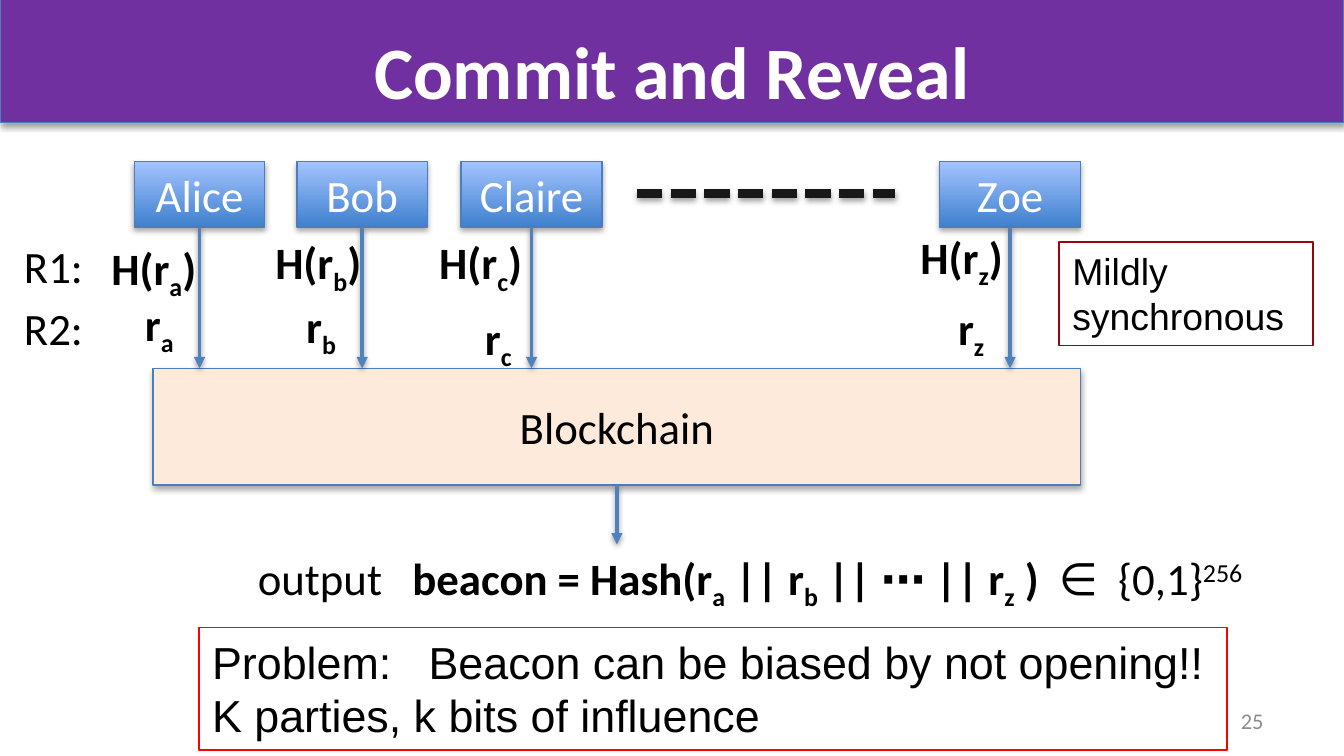
from lxml.etree import SubElement
from pptx import Presentation
from pptx.dml.color import RGBColor
from pptx.enum.dml import MSO_LINE
from pptx.enum.shapes import MSO_CONNECTOR, MSO_SHAPE
from pptx.enum.text import MSO_ANCHOR, MSO_AUTO_SIZE, PP_ALIGN
from pptx.oxml.ns import qn
from pptx.util import Inches, Pt

PURPLE = RGBColor(0x70, 0x30, 0xA0)
EDGE = RGBColor(0x4B, 0x7E, 0xBC)
ARROW = RGBColor(0x4F, 0x81, 0xBD)
DEEP_BLUE = RGBColor(0x3F, 0x80, 0xCE)
PALE_BLUE = RGBColor(0xA4, 0xC4, 0xFF)
PEACH = RGBColor(0xFD, 0xEA, 0xDA)
RED = RGBColor(0xFF, 0x00, 0x00)
DARK_RED = RGBColor(0x96, 0x06, 0x0B)
CHARCOAL = RGBColor(0x18, 0x18, 0x18)
GREY = RGBColor(0x8C, 0x8C, 0x8C)
BLACK = RGBColor(0x00, 0x00, 0x00)
WHITE = RGBColor(0xFF, 0xFF, 0xFF)

# The page is a grid of 100 columns; its square cells give 56.25 rows
COLUMNS, ROWS = 100, 56.25
CELL = Inches(0.1)

PARTY_TOP, PARTY_HEIGHT, CHAIN_TOP = 12, 4.9, 27.4
LABEL_HEIGHT = 5

# Name, box left and width, letter, commit (left, top, width), reveal (left, top, width)
PARTIES = [
    ("Alice", 10, 9.7, "a", (7.3, 17.4, 8.5), (9.8, 21.6, 4.2)),
    ("Bob", 22.1, 9.7, "b", (19.5, 17, 8.6), (21.8, 21.7, 4.4)),
    ("Claire", 34.3, 10.5, "c", (31.7, 17, 8.3), (35.1, 22.6, 4.1)),
    ("Zoe", 69.9, 10.5, "z", (67.5, 16.6, 8.3), (70.3, 21.9, 4.1)),
]

BODY = {"name": "Calibri", "size": Pt(24), "bold": False}
NOTE = {"name": "Arial", "size": Pt(24), "bold": False}
BOLD = {"bold": True}
SUB = {"bold": True, "baseline": -25000}
SUPER = {"baseline": 30000}
NARROW_GAP, WIDE_GAP, NOTE_GAP = {"spc": 540}, {"spc": 1080}, {"spc": 1330}


def cells(*counts):
    return [int(count * CELL) for count in counts]


def cast_shadow(shape, opacity, distance):
    effects = SubElement(shape.element.spPr, qn("a:effectLst"))
    shadow = SubElement(effects, qn("a:outerShdw"), blurRad=str(Pt(3.1)),
                        dist=str(Pt(distance)), dir="5400000", rotWithShape="0")
    black = SubElement(shadow, qn("a:srgbClr"), val="000000")
    SubElement(black, qn("a:alpha"), val=str(opacity * 1000))


def write(para, spans, style, color):
    for text, extra in spans:
        span = para.add_run()
        span.text = text
        for key, value in {**style, **extra}.items():
            if key in ("baseline", "spc"):
                span.font._element.set(key, str(value))
            else:
                setattr(span.font, key, value)
        span.font.color.rgb = color


def add_block(page, area, fill, text="", color=WHITE):
    block = page.shapes.add_shape(MSO_SHAPE.RECTANGLE, *cells(*area))
    if fill is None:
        block.fill.gradient()
        block.fill.gradient_angle = 90
        for stop, shade in zip(block.fill.gradient_stops, (DEEP_BLUE, PALE_BLUE)):
            stop.color.rgb = shade
        for stop, position in zip(block.fill.gradient_stops, (0, 1)):
            stop.position = position
    else:
        block.fill.solid()
        block.fill.fore_color.rgb = fill
    block.line.color.rgb = EDGE
    block.line.width = Pt(0.75)
    cast_shadow(block, 35, 1.8)
    if text:
        block.text_frame.vertical_anchor = MSO_ANCHOR.MIDDLE
        para = block.text_frame.paragraphs[0]
        para.alignment = PP_ALIGN.CENTER
        write(para, [(text, {})], BODY, color)
    return block


def add_label(page, area, paragraphs, style=BODY, border=None, wrap=False):
    box = page.shapes.add_textbox(*cells(*area))
    frame = box.text_frame
    frame.word_wrap = wrap
    frame.auto_size = MSO_AUTO_SIZE.SHAPE_TO_FIT_TEXT
    for index, spans in enumerate(paragraphs):
        para = frame.add_paragraph() if index else frame.paragraphs[0]
        write(para, spans, style, BLACK)
    if border is not None:
        box.line.color.rgb = border
        box.line.width = Pt(0.75)


def add_line(page, start, end, color, width):
    line = page.shapes.add_connector(MSO_CONNECTOR.STRAIGHT, *cells(*start, *end))
    line.line.color.rgb = color
    line.line.width = Pt(width)
    cast_shadow(line, 38, 1.6)
    return line


def add_arrow_below(page, block, start, end):
    arrow = add_line(page, start, end, ARROW, 2)
    SubElement(arrow.line._get_or_add_ln(), qn("a:tailEnd"), type="triangle")
    arrow.begin_connect(block, 2)


def add_title(page, text):
    banner = add_block(page, (0, -0.1, COLUMNS, 9.2), PURPLE)
    title = page.shapes.title
    title.element.addprevious(banner.element)
    title.left, title.top, title.width, title.height = cells(5, 1.4, 90, 6.8)
    frame = title.text_frame
    frame.word_wrap = False
    frame.auto_size = MSO_AUTO_SIZE.NONE
    frame.vertical_anchor = MSO_ANCHOR.TOP
    para = frame.paragraphs[0]
    para.alignment = PP_ALIGN.CENTER
    write(para, [(text, {})], {**BODY, "size": Pt(39.6), "bold": True}, WHITE)


def add_party(page, name, left, width, letter, commit, reveal):
    block = add_block(page, (left, PARTY_TOP, width, PARTY_HEIGHT), None, name)
    middle = left + width / 2
    add_arrow_below(page, block, (middle, PARTY_TOP + PARTY_HEIGHT), (middle, CHAIN_TOP))
    add_label(page, (*commit, LABEL_HEIGHT), [[("H(r", BOLD), (letter, SUB), (")", BOLD)]])
    add_label(page, (*reveal, LABEL_HEIGHT), [[("r", BOLD), (letter, SUB)]])


def add_page_number(page, number):
    box = page.shapes.add_textbox(*cells(71.7, 52.1, 23.3, 3))
    box.text_frame.word_wrap = True
    box.text_frame.vertical_anchor = MSO_ANCHOR.MIDDLE
    para = box.text_frame.paragraphs[0]
    para.alignment = PP_ALIGN.RIGHT
    write(para, [(number, {})], {**BODY, "size": Pt(12)}, GREY)


def main():
    deck = Presentation()
    deck.slide_width, deck.slide_height = cells(COLUMNS, ROWS)
    page = deck.slides.add_slide(deck.slide_layouts[5])
    add_title(page, "Commit and Reveal")

    # Blockchain and the parties that post to it
    chain = add_block(page, (11.4, CHAIN_TOP, 69, 8.7), PEACH, "Blockchain", BLACK)
    for party in PARTIES:
        add_party(page, *party)
    dashes = add_line(page, (47.4, 14.4), (66.6, 14.4), CHARCOAL, 4.5)
    dashes.line.dash_style = MSO_LINE.SQUARE_DOT

    # Rounds
    for name, top in (("R1:", 17.3), ("R2:", 21.9)):
        add_label(page, (0.8, top, 8.5, LABEL_HEIGHT), [[(name, {})]], wrap=True)
    add_label(page, (78.8, 18, 18.9, 7.7), [[("Mildly synchronous", {})]],
              {**NOTE, "size": Pt(20)}, DARK_RED, wrap=True)

    # Beacon output
    add_arrow_below(page, chain, (45.9, 36.1), (45.9, 40.5))
    add_label(page, (18.2, 40.5, 76.9, LABEL_HEIGHT), [[
        ("output", {}), (" ", WIDE_GAP), ("beacon = Hash(r", BOLD), ("a", SUB),
        (" || r", BOLD), ("b", SUB), (" || ⋯ || r", BOLD), ("z", SUB),
        (" )", BOLD), (" ", NARROW_GAP), ("∈", {}), (" ", NARROW_GAP),
        ("{0,1}", {}), ("256", SUPER)]])

    # Problem statement
    add_label(page, (14.8, 46.7, 76.5, 9.1), [
        [("Problem:", {}), (" ", NOTE_GAP), ("Beacon can be biased by not opening!!", {})],
        [("K parties, k bits of influence", {})]], NOTE, RED)
    add_page_number(page, "25")
    deck.save("out.pptx")


if __name__ == "__main__":
    main()
